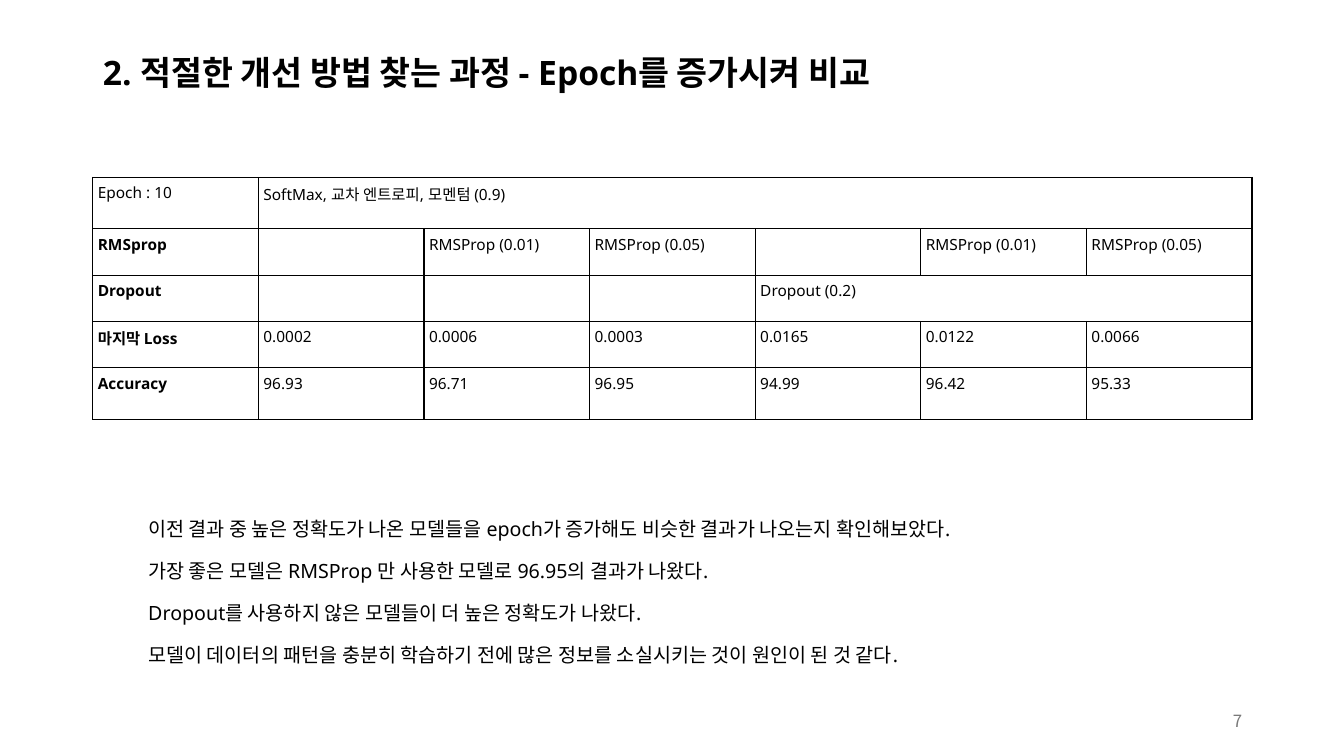
from dataclasses import dataclass

from lxml import etree
from pptx import Presentation
from pptx.dml.color import RGBColor
from pptx.enum.text import MSO_ANCHOR, MSO_AUTO_SIZE, PP_ALIGN
from pptx.oxml.ns import qn
from pptx.util import Pt

MIDDLE = MSO_ANCHOR.MIDDLE
LEFT, RIGHT = PP_ALIGN.LEFT, PP_ALIGN.RIGHT
NO_FIT = MSO_AUTO_SIZE.NONE
EMU_PER_PX = 9144  # 100 px to the inch


def px(length):
    return length * EMU_PER_PX


@dataclass(frozen=True)
class Theme:
    font: str = "Noto Sans"
    korean_font: str = "Noto Sans CJK KR"
    ink: str = "000000"
    paper: str = "FFFFFF"
    muted: str = "797979"
    title_size: int = 24
    body_size: int = 14
    number_size: int = 12
    table_size: int = 11
    body_gap: float = 13.3
    border_width: int = 1


class SlideBuilder:
    def __init__(self, slide, theme):
        self.slide = slide
        self.theme = theme

    def place(self, shape, box):
        shape.left, shape.top, shape.width, shape.height = map(px, box)

    def run(self, paragraph, text, size, color=None, bold=False, font=None):
        run = paragraph.add_run()
        run.text = text
        run.font.name = font or self.theme.font
        run.font.size = Pt(size)
        run.font.bold = bold
        run.font.color.rgb = RGBColor.from_string(color or self.theme.ink)
        east_asian = etree.Element(qn("a:ea"), typeface=self.theme.korean_font)
        run.font._element.find(qn("a:latin")).addnext(east_asian)

    def frame(self, shape):
        frame = shape.text_frame
        frame.word_wrap = True
        frame.auto_size = NO_FIT
        frame.vertical_anchor = MIDDLE
        return frame

    def title(self, text, box):
        heading = self.slide.shapes.title
        self.place(heading, box)
        paragraph = self.frame(heading).paragraphs[0]
        paragraph.alignment = LEFT
        paragraph.line_spacing = 0.9
        self.run(paragraph, text, self.theme.title_size, bold=True)

    def body(self, lines, box):
        findings = self.slide.placeholders[1]
        self.place(findings, box)
        findings.fill.solid()
        findings.fill.fore_color.rgb = RGBColor.from_string(self.theme.paper)
        frame = self.frame(findings)
        for i, line in enumerate(lines):
            paragraph = frame.add_paragraph() if i else frame.paragraphs[0]
            paragraph.alignment = LEFT
            paragraph.space_before = Pt(self.theme.body_gap if i else 0)
            properties = paragraph._p.get_or_add_pPr()
            properties.set("marL", "0")
            properties.set("indent", "0")
            etree.SubElement(properties, qn("a:buNone"))
            self.run(paragraph, line, self.theme.body_size)

    def page_number(self, text, box):
        number = self.slide.shapes.add_textbox(*map(px, box))
        paragraph = self.frame(number).paragraphs[0]
        paragraph.alignment = RIGHT
        self.run(paragraph, text, self.theme.number_size, self.theme.muted,
                 font=self.theme.korean_font)

    def borders(self, cell):
        properties = cell._tc.get_or_add_tcPr()
        for i, side in enumerate(("lnL", "lnR", "lnT", "lnB")):
            line = etree.Element(qn(f"a:{side}"), w=str(Pt(self.theme.border_width)))
            fill = etree.SubElement(line, qn("a:solidFill"))
            etree.SubElement(fill, qn("a:srgbClr"), val=self.theme.ink)
            properties.insert(i, line)

    def table(self, rows, spans, box, row_heights):
        table = self.slide.shapes.add_table(
            len(rows), len(rows[0]), *map(px, box)).table
        table.first_row = table.horz_banding = False
        for column in table.columns:
            column.width = px(box[2]) // len(rows[0])
        for r, (values, height) in enumerate(zip(rows, row_heights)):
            table.rows[r].height = px(height)
            for c, value in enumerate(values):
                cell = table.cell(r, c)
                cell.margin_left = cell.margin_right = px(5)
                cell.margin_top = cell.margin_bottom = px(5)
                cell.fill.background()
                self.borders(cell)
                if value:
                    self.run(cell.text_frame.paragraphs[0], value,
                             self.theme.table_size, bold=c == 0 and r > 0)
        for row, first, last in spans:
            table.cell(row, first).merge(table.cell(row, last))


def main():
    deck = Presentation()
    deck.slide_width, deck.slide_height = px(1333), px(750)
    builder = SlideBuilder(deck.slides.add_slide(deck.slide_layouts[1]), Theme())

    # Heading and page number
    builder.title("2. 적절한 개선 방법 찾는 과정 - Epoch를 증가시켜 비교",
                  (92, 40, 1150, 69))
    builder.page_number("7", (942, 695, 300, 40))

    # Findings
    builder.body([
        "이전 결과 중 높은 정확도가 나온 모델들을 epoch가 증가해도 비슷한 결과가 나오는지 확인해보았다.",
        "가장 좋은 모델은 RMSProp 만 사용한 모델로 96.95의 결과가 나왔다.",
        "Dropout를 사용하지 않은 모델들이 더 높은 정확도가 나왔다.",
        "모델이 데이터의 패턴을 충분히 학습하기 전에 많은 정보를 소실시키는 것이 원인이 된 것 같다.",
    ], (137, 479, 1031, 216))

    # Comparison of the models
    rates = ["", "RMSProp (0.01)", "RMSProp (0.05)"]
    results = [
        ["Epoch : 10", "SoftMax, 교차 엔트로피, 모멘텀 (0.9)"] + [""] * 5,
        ["RMSprop"] + rates * 2,
        ["Dropout", "", "", "", "Dropout (0.2)", "", ""],
        ["마지막 Loss", "0.0002", "0.0006", "0.0003", "0.0165", "0.0122", "0.0066"],
        ["Accuracy", "96.93", "96.71", "96.95", "94.99", "96.42", "95.33"],
    ]
    builder.table(results, [(0, 1, 6), (2, 4, 6)], (92, 176, 1150, 240),
                  [51, 46, 46, 46, 51])

    deck.save("out.pptx")


if __name__ == "__main__":
    main()
